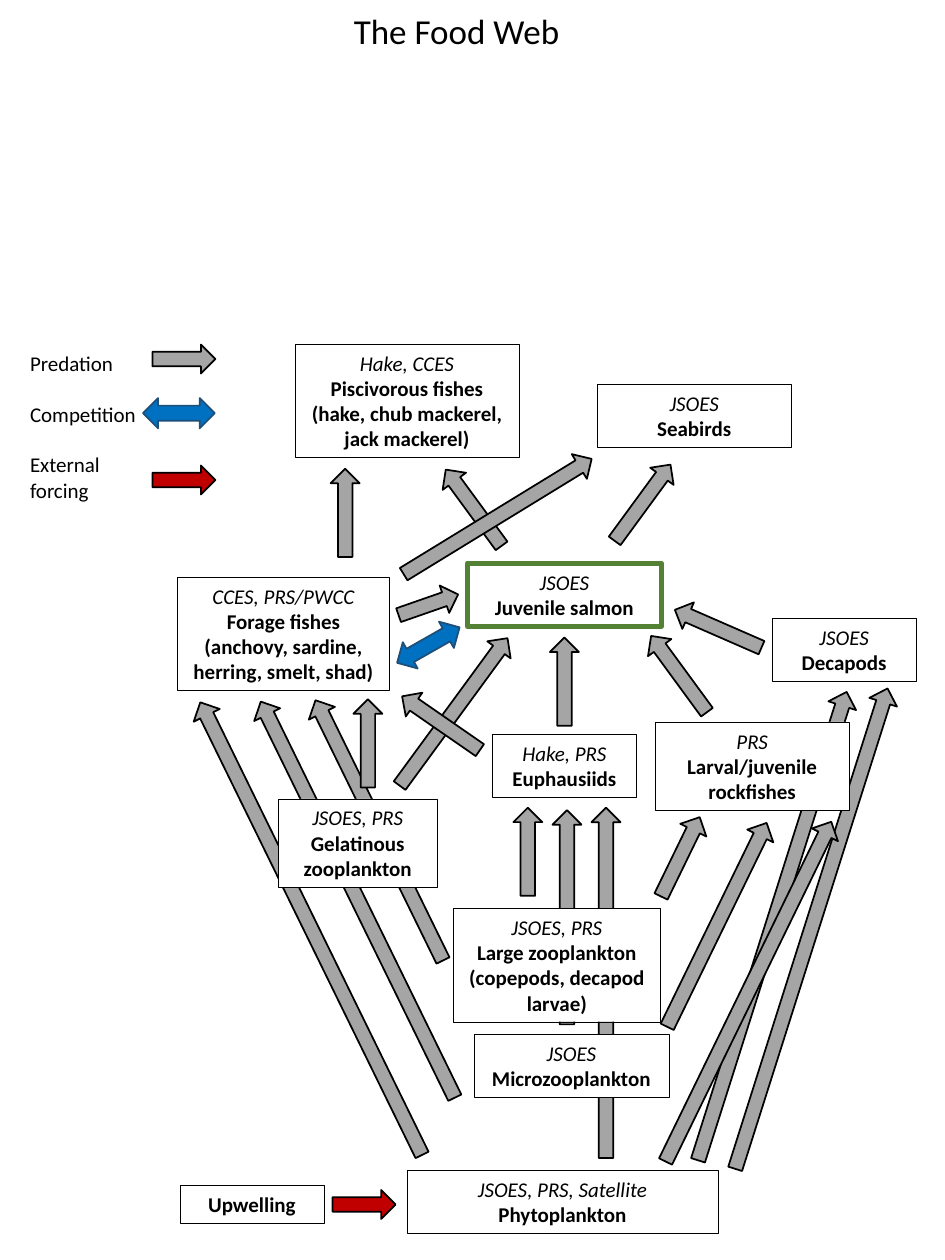
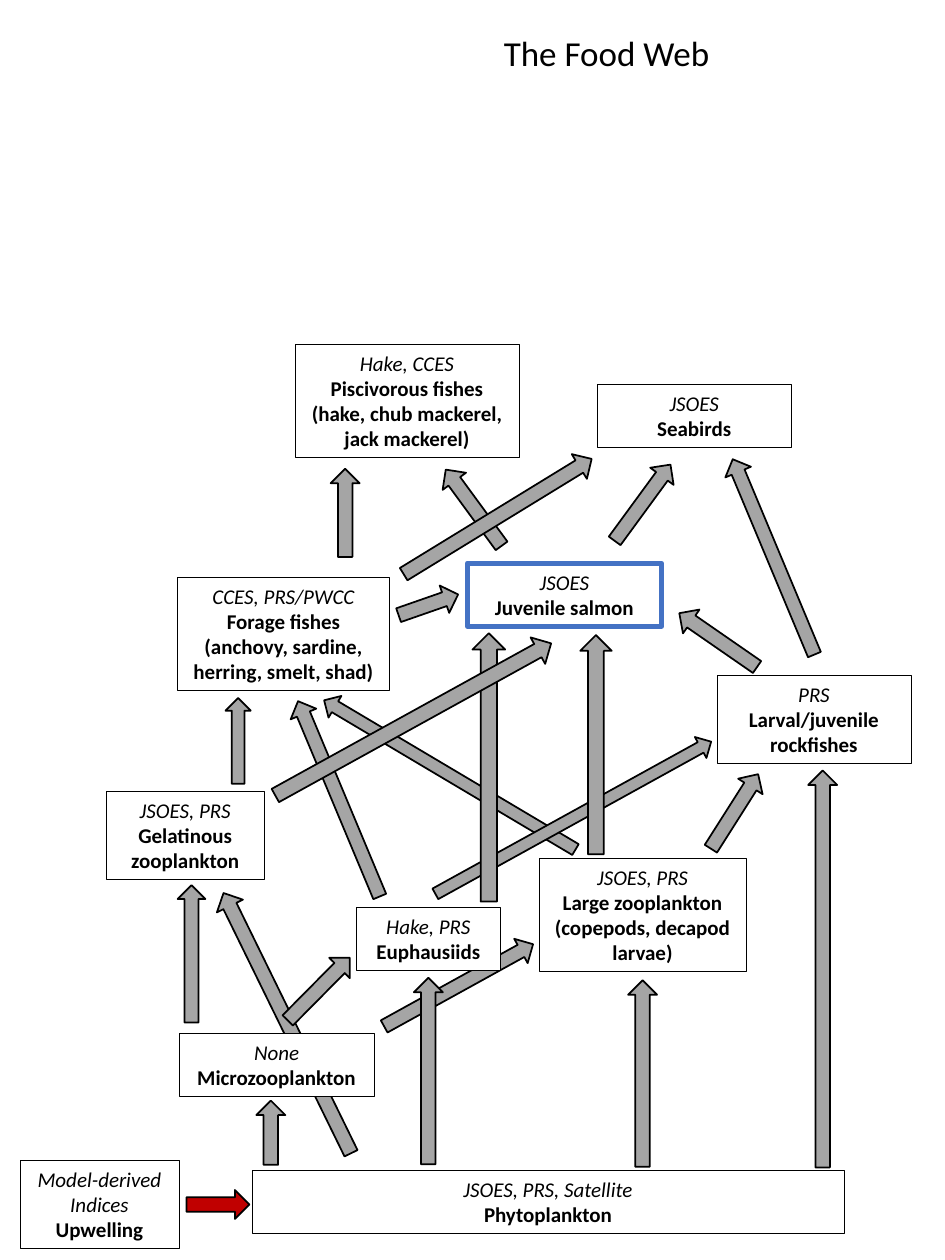
"""Builds two food web diagrams of surveyed marine species."""
from dataclasses import dataclass

from pptx import Presentation
from pptx.dml.color import RGBColor as RGB
from pptx.enum.shapes import MSO_SHAPE as Shape
from pptx.enum.text import MSO_ANCHOR as Anchor, MSO_AUTO_SIZE as AutoSize, PP_ALIGN as Align
from pptx.util import Cm, Pt


@dataclass(frozen=True)
class Theme:
    font: str = "Calibri"
    ink: str = "000000"
    paper: str = "FFFFFF"
    predation: str = "A5A5A5"
    competition: str = "0070C0"
    competition_edge: str = "1F4E79"
    forcing: str = "C00000"
    salmon_green: str = "548235"
    salmon_blue: str = "4472C4"
    title: int = 20
    body: int = 12
    blank_line: float = 14.65
    thin: float = 0.25
    normal: float = 1
    thick: float = 3
    inset: float = 0.1
    line_height: float = 0.2


GROUPS = {
    "Piscivorous fishes (hake, chub mackerel, jack mackerel)": (1.78, 4),
    "Seabirds": (1.54, 2),
    "Forage fishes (anchovy, sardine, herring, smelt, shad)": (1.68, 4),
    "Juvenile salmon": (1.54, 2),
    "Decapods": (1.14, 2),
    "Larval/juvenile rockfishes": (1.54, 3),
    "Euphausiids": (1.14, 2),
    "Gelatinous zooplankton": (1.26, 3),
    "Large zooplankton (copepods, decapod larvae)": (1.64, 4),
    "Microzooplankton": (1.55, 2),
}
PISCIVORES, SEABIRDS, FORAGE, SALMON, DECAPODS, ROCKFISH, KRILL, JELLIES, LARGE, MICRO = GROUPS

UPPER_BOXES = [
    (PISCIVORES, "Hake, CCES", 2.34, 2.73),
    (SEABIRDS, "JSOES", 4.74, 3.05),
    (FORAGE, "CCES, PRS/PWCC", 1.41, 4.58),
]
UPPER_ARROWS = [
    (3.76, 4.03, 0.75, 233.8),
    (5.1, 3.99, 0.75, 306.2),
    (2.74, 4.07, 0.7, 270),
    (3.95, 4.1, 1.75, 328.5),
    (3.4, 4.8, 0.5, 340.8),
]


def unit(n):
    """Turn a diagram unit of 2.54 cm into a length."""
    return Cm(2.54 * n)


class FoodWeb:
    """Holds the theme and the current slide, and draws on it."""

    def __init__(self, theme):
        self.theme = theme
        self.prs = Presentation()
        self.prs.slide_width, self.prs.slide_height = unit(7.5), unit(10)
        self.s = None

    def slide(self):
        self.s = self.prs.slides.add_slide(self.prs.slide_layouts[6])

    def shape(self, kind, x, y, w, h, fill, line, width):
        sp = self.s.shapes.add_shape(kind, *map(unit, (x, y, w, h)))
        sp.shadow.inherit = False
        sp.fill.solid()
        sp.fill.fore_color.rgb = RGB.from_string(fill)
        sp.line.color.rgb = RGB.from_string(line)
        sp.line.width = Pt(width)
        return sp

    def fill_text(self, sp, lines, align, size=None, **gap):
        tf = sp.text_frame
        frame = {"word_wrap": True, "auto_size": AutoSize.SHAPE_TO_FIT_TEXT,
                 "vertical_anchor": Anchor.TOP}
        for name, value in frame.items():
            setattr(tf, name, value)
        for i, (text, style) in enumerate(lines):
            p = tf.add_paragraph() if i else tf.paragraphs[0]
            p.alignment = align
            r = p.add_run()
            r.text = text
            r.font.color.rgb = RGB.from_string(self.theme.ink)
            font = {"name": self.theme.font, "size": Pt(size or self.theme.body), **style}
            for name, value in font.items():
                setattr(r.font, name, value)
            if text in gap:
                p.space_before = Pt(gap[text])

    def text(self, lines, x, y, w, h, size=None, **gap):
        sp = self.s.shapes.add_textbox(*map(unit, (x, y, w, h)))
        self.fill_text(sp, [(line, {}) for line in lines], Align.LEFT, size, **gap)

    def title(self, x, y):
        self.text(["The Food Web"], x, y, 2.07, 0.44, self.theme.title)

    def box(self, name, survey, x, y, size=None, edge=None):
        t = self.theme
        w, rows = size or GROUPS[name]
        sp = self.shape(Shape.RECTANGLE, x, y, w, t.inset + t.line_height * rows, t.paper,
                        edge or t.ink, t.thick if edge else t.thin)
        lines = [(survey, {"italic": True})] if survey else []
        self.fill_text(sp, lines + [(name, {"bold": True})], Align.CENTER)

    def arrow(self, cx, cy, length, angle=0, h=0.23, fill=None, line=None,
              kind=Shape.RIGHT_ARROW):
        t = self.theme
        sp = self.shape(kind, cx - length / 2, cy - h / 2, length, h,
                        fill or t.predation, line or t.ink, t.normal)
        sp.rotation = angle

    def competition(self, cx, cy, angle=0):
        t = self.theme
        self.arrow(cx, cy, 0.57, angle, 0.24, t.competition, t.competition_edge,
                   Shape.LEFT_RIGHT_ARROW)

    def forcing(self, cx, cy):
        self.arrow(cx, cy, 0.5, fill=self.theme.forcing)

    def legend(self):
        gap = self.theme.blank_line
        self.text(["Predation", "Competition", "External", "forcing"],
                  0.14, 2.73, 1.54, 1.31, Competition=gap, External=gap)
        self.arrow(1.46, 2.85, 0.5)
        self.competition(1.42, 3.28)
        self.forcing(1.46, 3.81)

    def web(self, salmon_edge, behind, boxes, front):
        for arrow in behind:
            self.arrow(*arrow)
        for box in UPPER_BOXES + boxes:
            self.box(*box)
        self.box(SALMON, "JSOES", 3.71, 4.47, edge=salmon_edge)
        for arrow in UPPER_ARROWS + front:
            self.arrow(*arrow)


def full_web(web):
    web.slide()
    web.web(
        web.theme.salmon_green,
        behind=[
            (6.13, 7.35, 3.9, 287.6),
            (6.44, 7.37, 4, 287.6),
            (3.01, 6.59, 2.3, 243.9),
            (2.84, 7.14, 3.5, 243.9),
            (2.47, 7.37, 4, 243.9),
            (4.81, 7.8, 2.78, 270),
            (4.5, 7.28, 1.7, 270),
        ],
        boxes=[
            (KRILL, "Hake, PRS", 3.91, 5.83),
            (JELLIES, "JSOES, PRS", 2.21, 6.34),
            (MICRO, "JSOES", 3.76, 8.21),
            (ROCKFISH, "PRS", 5.2, 5.73),
            (LARGE, "JSOES, PRS", 3.6, 7.21),
            (DECAPODS, "JSOES", 6.13, 4.91),
            ("Phytoplankton", "JSOES, PRS, Satellite", 3.23, 9.29, (2.47, 2)),
            ("Upwelling", None, 1.43, 9.41, (1.14, 1)),
        ],
        front=[
            (4.48, 5.41, 0.7, 270),
            (5.39, 5.35, 0.75, 233.8),
            (2.92, 5.9, 0.7, 270),
            (3.6, 5.65, 1.45, 306.2),
            (5.7, 4.99, 0.75, 203.6),
            (4.19, 6.76, 0.7, 270),
            (3.5, 5.74, 0.75, 214.7),
            (5.4, 6.8, 0.7, 296),
            (5.69, 7.34, 1.8, 296),
            (5.94, 7.87, 3, 296),
        ],
    )
    web.competition(3.4, 5.12, 330.4)
    web.forcing(2.89, 9.56)
    web.legend()
    web.title(2.71, 0.03)


def reduced_web(web):
    web.slide()
    web.web(
        web.theme.salmon_blue,
        behind=[
            (3.64, 7.82, 1.35, 331.1, 0.22),
            (2.28, 8.12, 2.3, 243.9),
            (3.57, 6.15, 2.32, 210.7, 0.2),
            (6.53, 7.69, 3.15, 270),
        ],
        boxes=[
            (KRILL, "Hake, PRS", 2.83, 7.2),
            (JELLIES, "JSOES, PRS", 0.84, 6.28),
            (MICRO, "None", 1.42, 8.2),
            (ROCKFISH, "PRS", 5.69, 5.36),
            (LARGE, "JSOES, PRS", 4.28, 6.81),
            ("Phytoplankton", "JSOES, PRS, Satellite", 2, 9.29, (4.7, 2)),
            ("Upwelling", "Model-derived Indices", 0.16, 9.21, (1.26, 3)),
        ],
        front=[
            (1.52, 7.57, 1.09, 270, 0.22),
            (2.69, 6.34, 1.68, 247.3, 0.22),
            (2.15, 8.99, 0.51, 270),
            (5.7, 5.08, 0.75, 214.7),
            (2.53, 7.85, 0.7, 314.7),
            (3.4, 8.5, 1.48, 270),
            (5.1, 8.52, 1.48, 270),
            (5.83, 6.44, 0.7, 302.4),
            (4.55, 6.49, 2.5, 331.1, 0.19),
            (4.73, 5.91, 1.74, 270, 0.25),
            (3.88, 6.09, 2.13, 270, 0.26),
            (1.89, 5.88, 0.68, 270, 0.2),
            (3.28, 5.71, 2.5, 331.1, 0.24),
            (6.14, 4.42, 1.68, 247.3, 0.22),
        ],
    )
    web.forcing(1.73, 9.56)
    web.title(3.9, 0.2)


def main():
    web = FoodWeb(Theme())
    full_web(web)
    reduced_web(web)
    web.prs.save("out.pptx")


if __name__ == "__main__":
    main()
